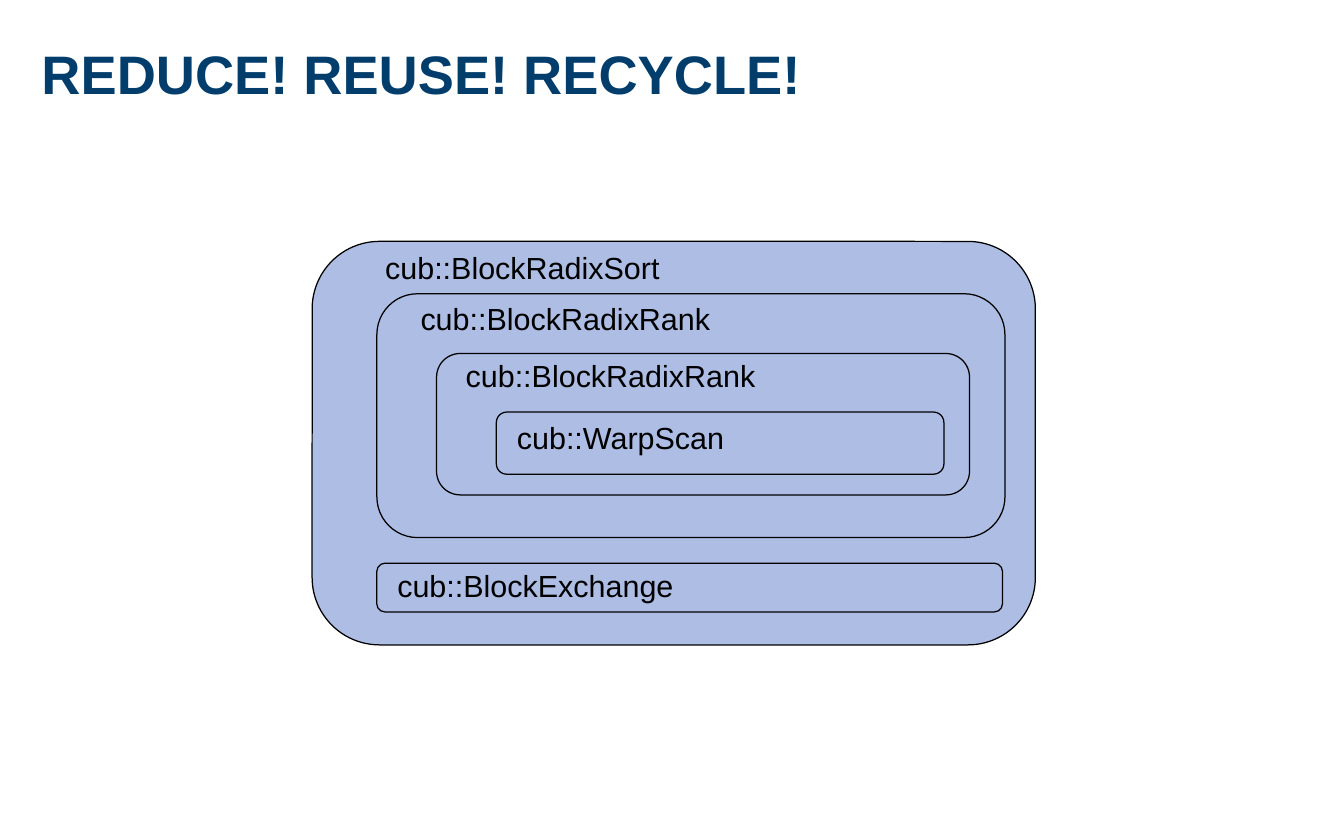
import pptx
import pptx.util
import pptx.dml.color
import pptx.enum.shapes
import pptx.enum.text

TITLE = "REDUCE! REUSE! RECYCLE!"
BLOCKS = [
    ("cub::BlockRadixSort", (2.56, 1.98, 5.93, 3.31), (3.06, 1.99)),
    ("cub::BlockRadixRank", (3.09, 2.41, 5.15, 2), (3.35, 2.41)),
    ("cub::BlockRadixRank", (3.58, 2.9, 4.37, 1.16), (3.72, 2.88)),
    ("cub::WarpScan", (4.07, 3.38, 3.67, 0.51), (4.14, 3.39)),
    ("cub::BlockExchange", (3.09, 4.62, 5.13, 0.4), (3.16, 4.6)),
]
LABEL = (3.14, 0.47)
COLORS = {"title": "023D6B", "block": "ADBDE3", "ink": "000000"}


def color(name):
    return pptx.dml.color.RGBColor.from_string(COLORS[name])


def inches(box):
    return [pptx.util.Inches(n) for n in box]


def add_text(slide, text, box, size, ink, pad=(0.1, 0.05), bold=False):
    frame = slide.shapes.add_textbox(*inches(box)).text_frame
    frame.word_wrap = True
    frame.vertical_anchor = pptx.enum.text.MSO_ANCHOR.TOP
    frame.margin_left = frame.margin_right = pptx.util.Inches(pad[0])
    frame.margin_top = frame.margin_bottom = pptx.util.Inches(pad[1])
    frame.text = text
    font = frame.paragraphs[0].runs[0].font
    font.name = "Arial"
    font.size = pptx.util.Pt(size)
    font.bold = bold
    font.color.rgb = color(ink)


def add_block(slide, box):
    kind = pptx.enum.shapes.MSO_SHAPE.ROUNDED_RECTANGLE
    shape = slide.shapes.add_shape(kind, *inches(box))
    shape.adjustments[0] = 0.167
    shape.shadow.inherit = False
    shape.fill.solid()
    shape.fill.fore_color.rgb = color("block")
    shape.line.color.rgb = color("ink")
    shape.line.width = pptx.util.Pt(0)


def main():
    """Build the slide of nested, reused block primitives."""
    deck = pptx.Presentation()
    deck.slide_width, deck.slide_height = inches((11.02, 6.89))
    slide = deck.slides.add_slide(deck.slide_layouts[6])
    add_text(slide, TITLE, (0.34, 0.33, 10.35, 1.13), 32, "title", (0, 0), True)
    for name, box, spot in BLOCKS:
        add_block(slide, box)
    for name, box, spot in BLOCKS:
        add_text(slide, name, spot + LABEL, 18, "ink")
    deck.save("out.pptx")


if __name__ == "__main__":
    main()
